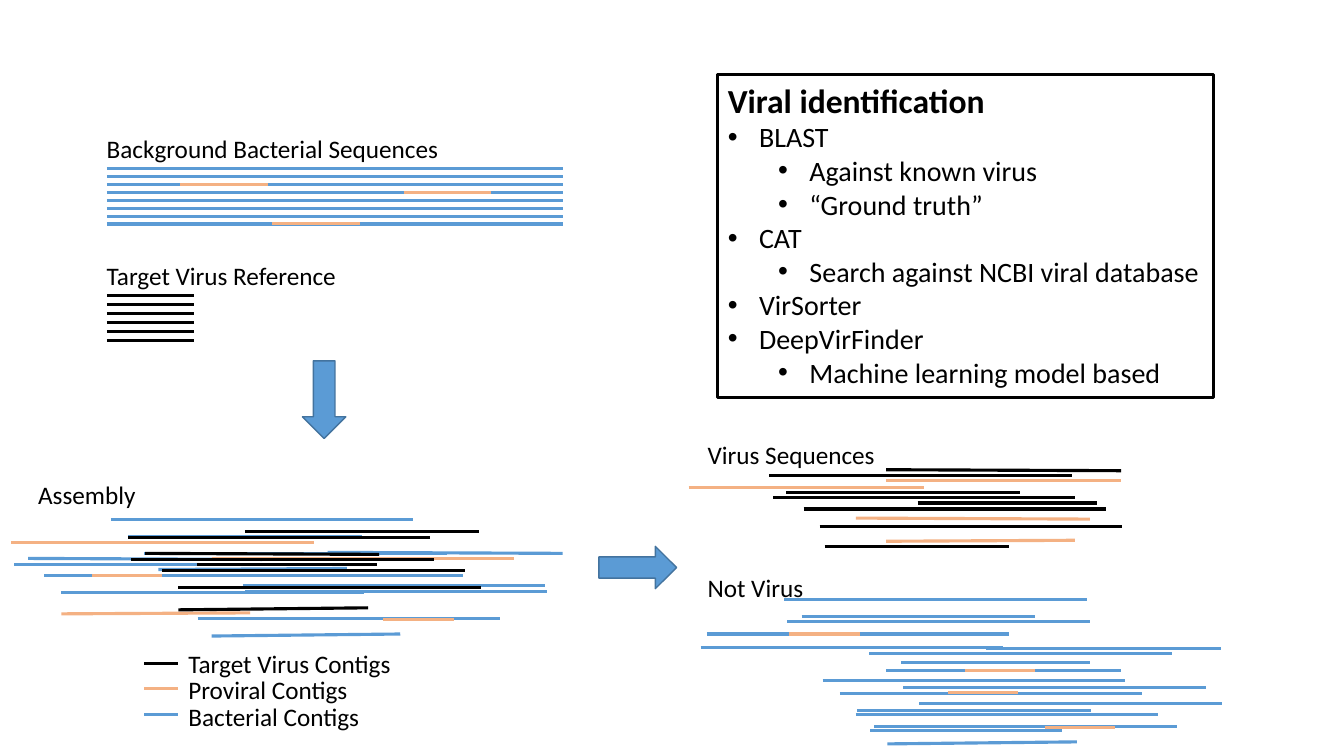
import pptx
import pptx.util
import pptx.dml.color
import pptx.enum.shapes
import pptx.enum.text
import pptx.oxml.ns
import lxml.etree

BLACK, BLUE, PEACH, EDGE = "000000", "5B9BD5", "F4B183", "43739E"


def color(code):
    return pptx.dml.color.RGBColor.from_string(code)


class Canvas:
    """Draws on one slide; lengths are grid cells, ten to the inch."""
    font = "Calibri"
    cell = pptx.util.Inches(0.1)
    weight = pptx.util.Pt(2.25)

    def __init__(self, deck):
        self.slide = deck.slides.add_slide(deck.slide_layouts[6])

    def grid(self, *cells):
        return [round(n * self.cell) for n in cells]

    def words(self, para, text, size, bold=False):
        run = para.add_run()
        run.text = text
        run.font.name = self.font
        run.font.size = pptx.util.Pt(size)
        run.font.bold = bold
        run.font.color.rgb = color(BLACK)

    def fit(self, frame):
        frame.word_wrap = False
        frame.auto_size = pptx.enum.text.MSO_AUTO_SIZE.SHAPE_TO_FIT_TEXT

    def label(self, text, left, top, wide):
        box = self.slide.shapes.add_textbox(*self.grid(left, top, wide, 4))
        self.fit(box.text_frame)
        self.words(box.text_frame.paragraphs[0], text, 18)

    def strand(self, code, left, right, top, end=None):
        """Draw a line that is level unless an end row is given."""
        if end is None:
            end = top
        line = self.slide.shapes.add_connector(
            pptx.enum.shapes.MSO_CONNECTOR.STRAIGHT,
            *self.grid(left, top, right, end))
        line.line.color.rgb = color(code)
        line.line.width = self.weight
        lxml.etree.SubElement(line._element.spPr,
                              pptx.oxml.ns.qn("a:effectLst"))

    def strands(self, code, rows):
        for row in rows:
            self.strand(code, *row)

    def arrow(self, left, top, wide, high, turn=0):
        shape = self.slide.shapes.add_shape(
            pptx.enum.shapes.MSO_SHAPE.RIGHT_ARROW,
            *self.grid(left, top, wide, high))
        shape.shadow.inherit = False
        shape.rotation = turn
        shape.fill.solid()
        shape.fill.fore_color.rgb = color(BLUE)
        shape.line.color.rgb = color(EDGE)
        shape.line.width = pptx.util.Pt(1)

    def bullet(self, para, level):
        para.level = level
        props = para._p.get_or_add_pPr()
        hang = self.grid(3.1)[0]
        props.set("marL", str(hang + level * self.grid(5)[0]))
        props.set("indent", str(-hang))
        for tag, key, value in (("a:buFont", "typeface", "Arial"),
                                ("a:buChar", "char", "•")):
            lxml.etree.SubElement(props, pptx.oxml.ns.qn(tag)).set(key, value)

    def panel(self, title, items, left, top, wide, high):
        box = self.slide.shapes.add_shape(
            pptx.enum.shapes.MSO_SHAPE.RECTANGLE,
            *self.grid(left, top, wide, high))
        box.shadow.inherit = False
        box.fill.background()
        box.line.color.rgb = color(BLACK)
        box.line.width = self.weight
        frame = box.text_frame
        self.fit(frame)
        frame.vertical_anchor = pptx.enum.text.MSO_ANCHOR.TOP
        para = frame.paragraphs[0]
        para.alignment = pptx.enum.text.PP_ALIGN.LEFT
        self.words(para, title, 24, True)
        for level, text in items:
            para = frame.add_paragraph()
            para.alignment = pptx.enum.text.PP_ALIGN.LEFT
            self.bullet(para, level)
            self.words(para, text, 20)


# Each strand: left, right, row and, where it slopes, the end row
CLEAN = [
    (77.8, 107.8, 59.5), (79.5, 102.7, 61.2), (69.5, 99.5, 64.2),
    (70.1, 100.1, 62.9), (83.3, 113.3, 68.8), (85, 108.2, 70.5),
    (86.7, 116.7, 72.1), (88, 106.8, 73.8, 73.6), (86.2, 116.2, 64.8),
    (87.9, 111.2, 66.5), (89.6, 119.6, 68.2), (91.2, 121.2, 69.8),
    (81.6, 111.6, 67.5), (97.8, 121.1, 64.3), (84.9, 114.9, 70.9),
    (86.3, 105.3, 72.5), (78.1, 108.1, 61.7), (89.4, 108.1, 65.7)]
CLEAN_PRO = [(78.3, 85.3, 62.9), (94, 101, 68.7), (95.7, 102.7, 66.5),
             (103.6, 110.6, 72.2)]
VIRUS = [
    (76.3, 106.3, 47.2), (78, 101.2, 48.9), (79.7, 109.7, 50.5),
    (81.3, 111.3, 52.2), (87.9, 111.2, 46.6, 46.7), (91, 108.8, 49.9),
    (76.7, 106.6, 49.4), (81.8, 100.1, 54.2)]
VIRUS_PRO = [(87.9, 106.6, 53.7, 53.6), (87.9, 111.2, 47.7),
             (68.3, 91.6, 48.4), (84.9, 108.1, 51.4, 51.5)]
MIX = [
    (2.8, 26, 55.4, 55.5), (4.4, 34.4, 57.1), (6.1, 36.1, 58.8),
    (11, 41, 51.5), (12.7, 35.9, 53.2), (14.3, 44.3, 54.9),
    (15.7, 34.4, 56.5, 56.4), (22.6, 45.9, 57.1), (24.3, 54.3, 58.7),
    (24.1, 54.1, 58.1), (32.5, 55.8, 54.8, 54.9), (19.6, 49.6, 61.4),
    (21, 39.7, 63.1, 62.9), (1.4, 31.4, 56)]
MIX_PRO = [(1.1, 31.1, 53.8), (21, 51, 55.4), (6.1, 24.8, 60.9, 60.8),
           (38, 45, 61.5), (9.1, 16.1, 57.1)]
MIX_VIRUS = [
    (12.7, 42.7, 53.3), (14.4, 37.6, 54.9, 55), (16.1, 46.1, 56.6),
    (17.7, 47.7, 58.3), (24.3, 47.5, 52.7), (19.5, 37.4, 56),
    (13, 43, 55.5), (17.7, 36.5, 60.5, 60.3)]
GENOMES = [(10.6, 55.8, 16.7 + 0.79 * n) for n in range(8)]
PROPHAGES = [(27, 35.7, 22.2), (40.1, 48.7, 19.1), (17.9, 26.6, 18.3)]
TARGETS = [(10.6, 19.2, 29.3 + 0.9 * n) for n in range(6)]

TOOLS = [(0, "BLAST"), (1, "Against known virus"), (1, "“Ground truth”"),
         (0, "CAT"), (1, "Search against NCBI viral database"),
         (0, "VirSorter"), (0, "DeepVirFinder"),
         (1, "Machine learning model based")]
LABELS = [("Background Bacterial Sequences", 9.6, 12.7, 35.3),
          ("Target Virus Reference", 9.6, 25.3, 25),
          ("Assembly", 2.8, 47.1, 11.8),
          ("Virus Sequences", 69.2, 43.1, 18.8),
          ("Not Virus", 69.2, 56.3, 11.6)]
LEGEND = [("Target Virus Contigs", 22.3, BLACK),
          ("Proviral Contigs", 18, PEACH),
          ("Bacterial Contigs", 19.1, BLUE)]


def main():
    deck = pptx.Presentation()
    deck.slide_width = pptx.util.Inches(13.33)
    deck.slide_height = pptx.util.Inches(7.5)
    art = Canvas(deck)
    art.panel("Viral identification", TOOLS, 71.2, 7.4, 49.2, 32)
    for code, rows in ((BLUE, CLEAN), (PEACH, CLEAN_PRO),
                       (BLACK, VIRUS), (PEACH, VIRUS_PRO),
                       (BLUE, MIX), (PEACH, MIX_PRO), (BLACK, MIX_VIRUS),
                       (BLUE, GENOMES), (PEACH, PROPHAGES),
                       (BLACK, TARGETS)):
        art.strands(code, rows)
    for entry in LABELS:
        art.label(*entry)
    for n, (text, wide, code) in enumerate(LEGEND):
        art.strand(code, 14.3, 17.7, 65.8 + 2.55 * n)
        art.label(text, 17.7, 63.8 + 2.65 * n, wide)
    art.arrow(28.3, 37.5, 7.7, 4.3, 90)
    art.arrow(59.4, 54.2, 7.7, 4.2)
    deck.save("out.pptx")


if __name__ == "__main__":
    main()
